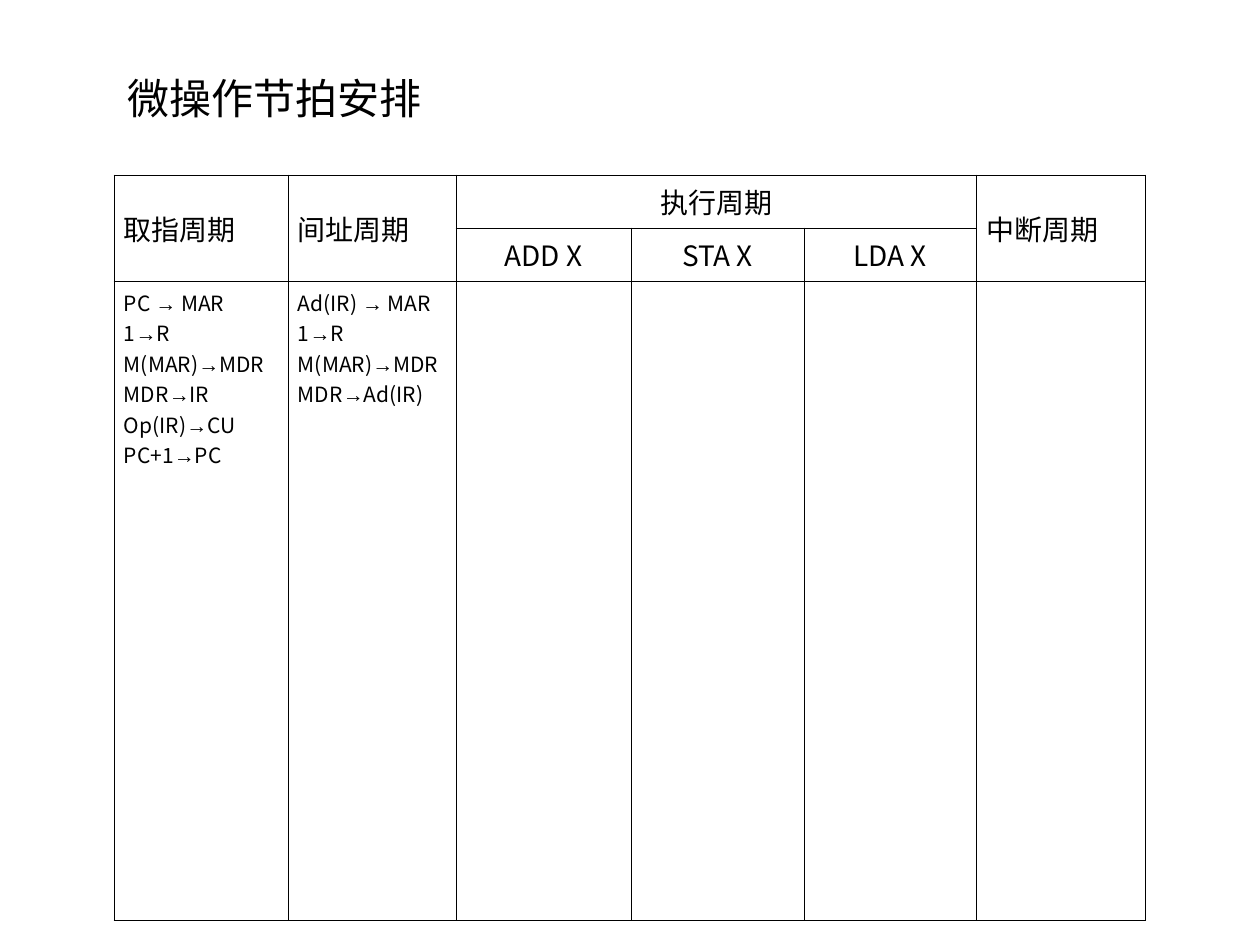
from lxml import etree
from pptx import Presentation, util as u
from pptx.dml.color import RGBColor
from pptx.enum import text
from pptx.oxml import ns

PX = 914400 // 126
BLACK = RGBColor(0, 0, 0)
CJK_FONT = "Noto Sans CJK SC"
ARROW_FONT = "Arial"
ARROW = "→"


def style_span(span, size, font=CJK_FONT):
    span.font.size = u.Pt(size)
    span.font.color.rgb = BLACK
    span.font.name = font
    east_asian = etree.SubElement(span.font._element, ns.qn("a:ea"))
    east_asian.set("typeface", font)


def add_borders(cell):
    properties = cell._tc.get_or_add_tcPr()
    for side in ("lnL", "lnR", "lnT", "lnB"):
        line = etree.SubElement(properties, ns.qn("a:" + side), w=str(u.Pt(0.45)))
        fill = etree.SubElement(line, ns.qn("a:solidFill"))
        etree.SubElement(fill, ns.qn("a:srgbClr"), val=str(BLACK))


deck = Presentation()
deck.slide_width, deck.slide_height = u.Inches(10), u.Inches(7.5)
page = deck.slides.add_slide(deck.slide_layouts[6])

# Timing table
column_widths = [174, 168, 175, 173, 173, 169]
row_heights = [53, 53, 639]
frame = page.shapes.add_table(
    len(row_heights), len(column_widths), 114 * PX, 175 * PX,
    sum(column_widths) * PX, sum(row_heights) * PX)
table = frame.table
table.first_row = table.horz_banding = False
for column, width in zip(table.columns, column_widths):
    column.width = width * PX
for row, height in zip(table.rows, row_heights):
    row.height = height * PX
for cell in table.iter_cells():
    cell.margin_left = cell.margin_right = 10 * PX
    cell.margin_top = cell.margin_bottom = 6 * PX
    add_borders(cell)
    cell.fill.background()

# Headings: row, column, last row, last column, label
headings = [
    (0, 0, 1, 0, "取指周期"),
    (0, 1, 1, 1, "间址周期"),
    (0, 2, 0, 4, "执行周期"),
    (0, 5, 1, 5, "中断周期"),
    (1, 2, 1, 2, "ADD X"),
    (1, 3, 1, 3, "STA X"),
    (1, 4, 1, 4, "LDA X"),
]
for row, column, last_row, last_column, label in headings:
    cell = table.cell(row, column)
    if (row, column) != (last_row, last_column):
        cell.merge(table.cell(last_row, last_column))
    cell.text_frame.text = label
    cell.vertical_anchor = text.MSO_ANCHOR.MIDDLE
    para = cell.text_frame.paragraphs[0]
    in_execute_cycle = 2 <= column <= 4
    para.alignment = text.PP_ALIGN.CENTER if in_execute_cycle else text.PP_ALIGN.JUSTIFY
    style_span(para.runs[0], 16)

# Micro-operations of the fetch and indirect cycles
micro_operations = [
    ["PC → MAR", "1→R", "M(MAR)→MDR", "MDR→IR", "Op(IR)→CU", "PC+1→PC"],
    ["Ad(IR) → MAR", "1→R", "M(MAR)→MDR", "MDR→Ad(IR)"],
]
for column, operations in enumerate(micro_operations):
    body = table.cell(2, column).text_frame
    for index, operation in enumerate(operations):
        para = body.add_paragraph() if index else body.paragraphs[0]
        para.alignment = text.PP_ALIGN.JUSTIFY
        source, target = operation.split(ARROW)
        for part in (source, ARROW, target):
            span = para.add_run()
            span.text = part
            style_span(span, 12, ARROW_FONT if part == ARROW else CJK_FONT)

# Title
box = page.shapes.add_textbox(115 * PX, 66 * PX, 703 * PX, 63 * PX)
box.text_frame.word_wrap = True
box.text_frame.auto_size = text.MSO_AUTO_SIZE.SHAPE_TO_FIT_TEXT
box.text_frame.text = "微操作节拍安排"
style_span(box.text_frame.paragraphs[0].runs[0], 24)

deck.save("out.pptx")
